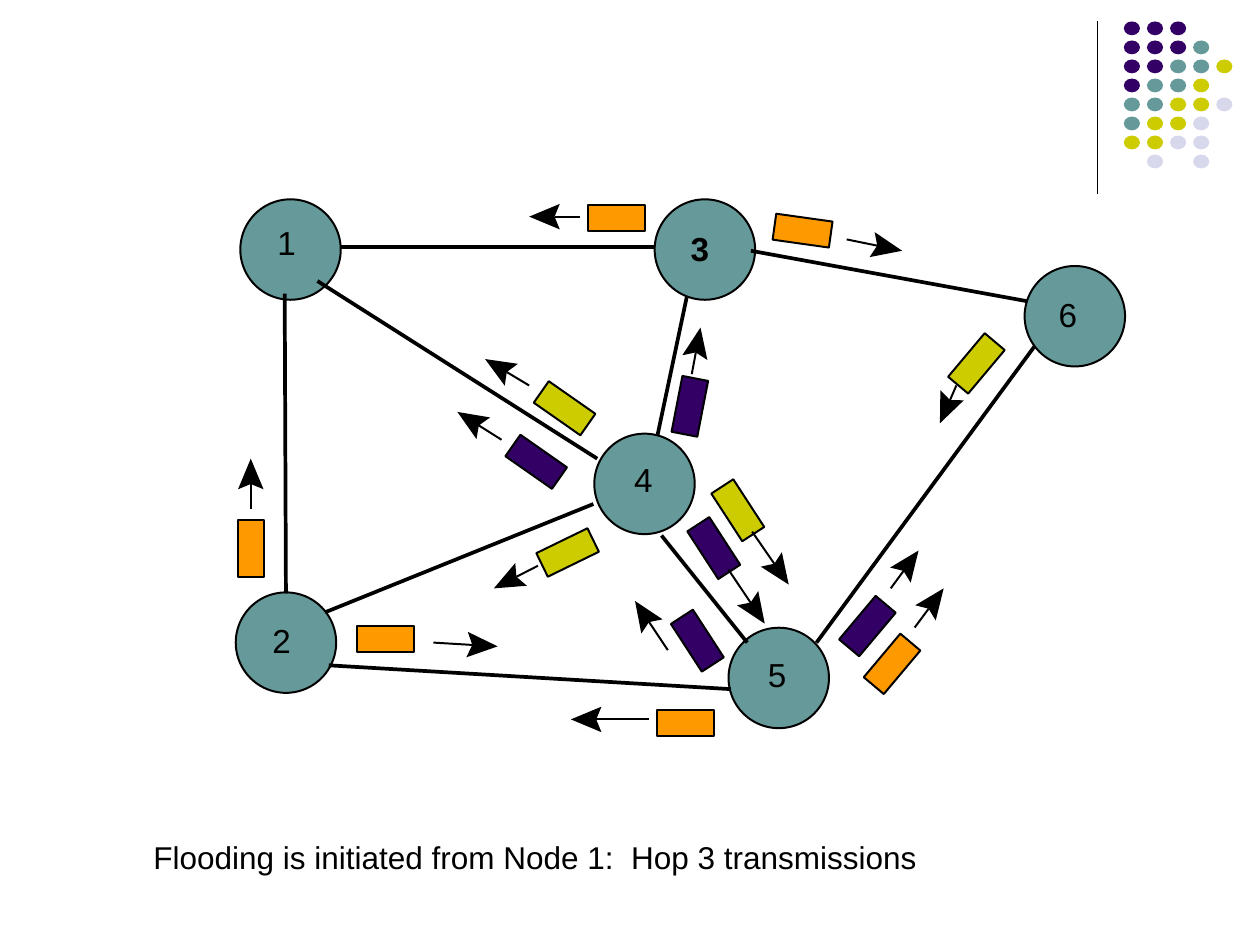
from collections import namedtuple
from math import hypot

from lxml.etree import SubElement
from pptx import Presentation
from pptx.dml.color import RGBColor
from pptx.enum.shapes import MSO_CONNECTOR, MSO_SHAPE
from pptx.enum.text import MSO_ANCHOR, PP_ALIGN
from pptx.oxml.ns import qn
from pptx.util import Pt

Box = namedtuple("Box", "left top width height")
Node = namedtuple("Node", "name x y shift_x shift_y bold")
Packet = namedtuple("Packet", "color x y angle start tip")

THEME = {
    "font": "Arial",
    "ink": "000000",
    "purple": "330066",
    "teal": "669999",
    "yellow": "CCCC00",
    "lavender": "D8D8EC",
    "orange": "FF9900",
    "label_size": 19,
    "caption_size": 18,
    "rule_line": 0.75,
    "outline": 1.13,
    "link_line": 2.13,
}

NODE_SIZE = 57.4
PACKET_WIDTH, PACKET_HEIGHT = 32.5, 15
HEAD_LENGTH, HEAD_NOTCH, HEAD_HALF_WIDTH = 17.5, 14.5, 7.3

DOT_COLORS = {"P": "purple", "T": "teal", "Y": "yellow", "L": "lavender"}
DOT_ROWS = ["PPP", "PPPT", "PPTTY", "PTTY", "TTYYL", "TYYL", "YYLL", " L L"]

NODES = [
    Node("1", 36, 32.6, -2.2, -4.3, False),
    Node("2", 33.4, 257.2, -2.5, -1.4, False),
    Node("3", 272.8, 32.6, -2.9, -0.7, True),
    Node("4", 238.3, 166.5, -0.7, -2.9, False),
    Node("5", 315, 277.4, -1, -2.2, False),
    Node("6", 484.2, 70.7, -4, -1.4, False),
]

LINKS = [
    ((65.1, 31.1), (244.4, 31.1)),
    ((262.4, 59.9), (245.8, 138.4)),
    ((248, 196), (297, 257.2)),
    ((299.1, 33.3), (456.8, 62.1)),
    ((336.6, 257.2), (461.1, 88)),
    ((287.6, 283.8), (57.9, 270.2)),
    ((32.7, 57.8), (33.4, 229.1)),
    ((51.4, 50.6), (211.3, 152.1)),
    ((209.1, 178), (55.8, 239.9)),
]

PACKETS = [
    Packet("orange", 222.1, 14.6, 0, (201.2, 13.8), (172.4, 13.8)),
    Packet("orange", 328.6, 21.8, 8, (353.8, 26.8), (385.5, 33.3)),
    Packet("orange", 13.3, 203.6, 90, (13.3, 180.9), (13.3, 152.1)),
    Packet("purple", 176.4, 153.9, 35, (156.6, 141.3), (131.4, 125.4)),
    Packet("purple", 264.2, 122.2, 101, (265.3, 103.8), (270.3, 77.2)),
    Packet("purple", 268.5, 256.1, 57, (251.6, 261.5), (232.9, 233.4)),
    Packet("purple", 365.7, 247.8, -50, (379, 226.2), (394.9, 204.6)),
    Packet("purple", 277.9, 203.2, 57, (286.2, 215.4), (307, 246.4)),
    Packet("orange", 379.8, 269.4, -50, (392.7, 248.6), (409.3, 226.2)),
    Packet("orange", 261.7, 303.3, 0, (240.8, 301.1), (196.2, 301.1)),
    Packet("orange", 90.3, 255, 0, (117.7, 257.2), (154.4, 259.4)),
    Packet("yellow", 194.4, 205.7, -26, (177.4, 213.3), (152.2, 226.2)),
    Packet("yellow", 192.6, 123.3, 35, (172.4, 110.3), (147.2, 95.2)),
    Packet("yellow", 291.6, 181.6, 57, (299.8, 193.8), (320.7, 224.1)),
    Packet("yellow", 428, 97.7, -50, (416.5, 110.3), (407.1, 131.9)),
]


def set_all(target, values):
    for name, value in values.items():
        setattr(target, name, value)


def theme_color(name):
    return RGBColor.from_string(THEME[name])


def paint(shape, color, outlined=False):
    shape.shadow.inherit = False
    shape.fill.solid()
    shape.fill.fore_color.rgb = theme_color(color)
    if outlined:
        shape.line.color.rgb = theme_color("ink")
        shape.line.width = Pt(THEME["outline"])
    else:
        shape.line.fill.background()


def write(frame, text, size, bold=False):
    span = frame.paragraphs[0].add_run()
    set_all(span, {"text": text})
    set_all(span.font, {"name": THEME["font"], "size": Pt(THEME[size]), "bold": bold})
    span.font.color.rgb = theme_color("ink")


def add_line(page, box, start, end, width):
    corners = [Pt(value) for value in (
        box.left + start[0], box.top + start[1], box.left + end[0], box.top + end[1])]
    line = page.shapes.add_connector(MSO_CONNECTOR.STRAIGHT, *corners)
    line.line.color.rgb = theme_color("ink")
    line.line.width = Pt(THEME[width])
    SubElement(line._element.spPr, qn("a:effectLst"))


def add_centered(page, box, kind, x, y, width, height):
    return page.shapes.add_shape(
        kind, Pt(box.left + x - width / 2), Pt(box.top + y - height / 2), Pt(width), Pt(height))


def add_arrow(page, box, start, tip):
    length = hypot(tip[0] - start[0], tip[1] - start[1])
    along_x, along_y = (tip[0] - start[0]) / length, (tip[1] - start[1]) / length

    def behind_tip(back, side):
        return (tip[0] - back * along_x - side * along_y,
                tip[1] - back * along_y + side * along_x)

    add_line(page, box, start, behind_tip(HEAD_NOTCH, 0), "outline")
    outline = [tip, behind_tip(HEAD_LENGTH, HEAD_HALF_WIDTH),
               behind_tip(HEAD_NOTCH, 0), behind_tip(HEAD_LENGTH, -HEAD_HALF_WIDTH)]
    corners = [(Pt(box.left + x), Pt(box.top + y)) for x, y in outline]
    builder = page.shapes.build_freeform(*corners[0])
    builder.add_line_segments(corners[1:], close=True)
    paint(builder.convert_to_shape(), "ink")


def add_node(page, box, node):
    shape = add_centered(page, box, MSO_SHAPE.OVAL, node.x, node.y, NODE_SIZE, NODE_SIZE)
    paint(shape, "teal", outlined=True)
    set_all(shape.text_frame, {
        "margin_left": 0,
        "margin_top": 0,
        "margin_right": Pt(-2 * node.shift_x),
        "margin_bottom": Pt(-2 * node.shift_y),
        "vertical_anchor": MSO_ANCHOR.MIDDLE,
        "word_wrap": False,
    })
    shape.text_frame.paragraphs[0].alignment = PP_ALIGN.CENTER
    write(shape.text_frame, node.name, "label_size", node.bold)


def add_dot_ornament(page, box):
    add_line(page, box, (0, 0), (0, box.height), "rule_line")
    for row, codes in enumerate(DOT_ROWS):
        for column, code in enumerate(codes):
            if code in DOT_COLORS:
                dot = add_centered(page, box, MSO_SHAPE.OVAL,
                                   19.7 + column * 13.2, 4 + row * 10.87, 9.2, 7.9)
                paint(dot, DOT_COLORS[code])


def add_network(page, box):
    for node in NODES:
        add_node(page, box, node)
    for start, end in LINKS:
        add_line(page, box, start, end, "link_line")
    for packet in PACKETS:
        shape = add_centered(page, box, MSO_SHAPE.RECTANGLE, packet.x, packet.y,
                             PACKET_WIDTH, PACKET_HEIGHT)
        paint(shape, packet.color, outlined=True)
        shape.rotation = packet.angle
        add_arrow(page, box, packet.start, packet.tip)


def add_caption(page, box):
    caption = page.shapes.add_textbox(*(Pt(value) for value in box))
    caption.text_frame.word_wrap = True
    write(caption.text_frame, "Flooding is initiated from Node 1:  Hop 3 transmissions",
          "caption_size")


def main():
    deck = Presentation()
    set_all(deck, {"slide_width": Pt(720), "slide_height": Pt(540)})
    page = deck.slides.add_slide(deck.slide_layouts[6])
    add_dot_ornament(page, Box(627.1, 12.2, 77, 98.6))
    add_network(page, Box(130, 110, 513, 312))
    add_caption(page, Box(80.6, 475.2, 483, 28.8))
    deck.save("out.pptx")


if __name__ == "__main__":
    main()
